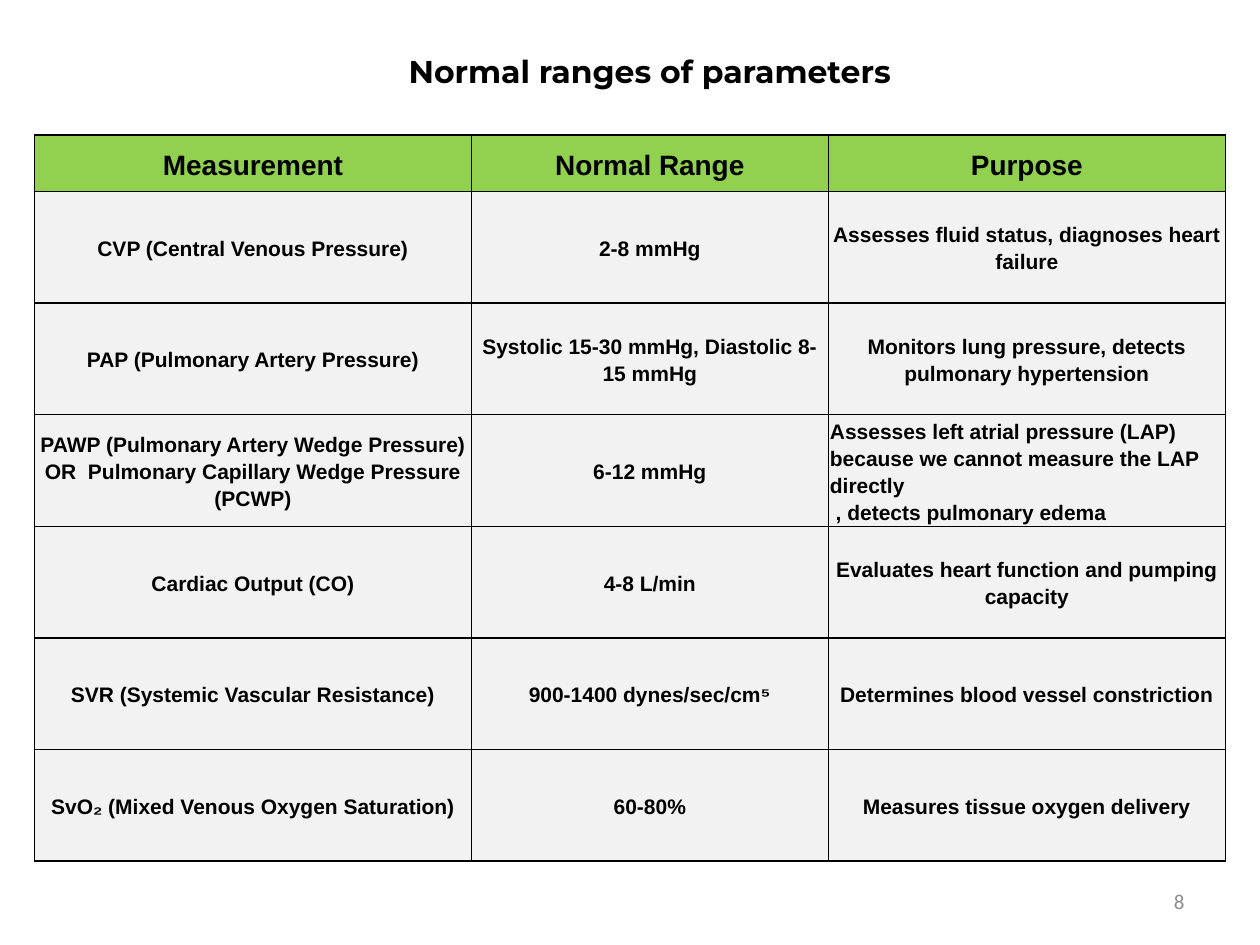
from lxml.etree import SubElement
from pptx import Presentation
from pptx.dml.color import RGBColor
from pptx.enum.text import MSO_ANCHOR, PP_ALIGN
from pptx.oxml.ns import qn
from pptx.util import Cm, Pt

BLACK = RGBColor(0x00, 0x00, 0x00)
GREY = RGBColor(0x8C, 0x8C, 0x8C)
GREEN = RGBColor(0x92, 0xD0, 0x50)
PALE = RGBColor(0xF2, 0xF2, 0xF2)

TITLE = "Normal ranges of parameters"
PAGE_NUMBER = "8"
HEADER = ("Measurement", "Normal Range", "Purpose")
PARAMETERS = [
    ("CVP (Central Venous Pressure)", "2-8 mmHg",
     "Assesses fluid status, diagnoses heart failure"),
    ("PAP (Pulmonary Artery Pressure)",
     "Systolic 15-30 mmHg, Diastolic 8-15 mmHg",
     "Monitors lung pressure, detects pulmonary hypertension"),
    ("PAWP (Pulmonary Artery Wedge Pressure)\n"
     "OR  Pulmonary Capillary Wedge Pressure (PCWP)",
     "6-12 mmHg",
     "Assesses left atrial pressure (LAP) because we cannot measure the LAP "
     "directly\n , detects pulmonary edema"),
    ("Cardiac Output (CO)", "4-8 L/min",
     "Evaluates heart function and pumping capacity"),
    ("SVR (Systemic Vascular Resistance)", "900-1400 dynes/sec/cm⁵",
     "Determines blood vessel constriction"),
    ("SvO₂ (Mixed Venous Oxygen Saturation)", "60-80%",
     "Measures tissue oxygen delivery"),
]
LEFT_ALIGNED = (3, 2)  # row and column of the one cell set flush left
COLUMN_WIDTHS = (8.8, 7.2, 8)
HEADER_HEIGHT, ROW_HEIGHT = 1.14, 2.25


def write(tf, text, size=12, font="Arial", color=BLACK, bold=True,
          align=PP_ALIGN.CENTER, spacing=1.0):
    tf.text = text
    tf.word_wrap = True
    for p in tf.paragraphs:
        p.alignment = align
        p.line_spacing = spacing
        for r in p.runs:
            r.font.size = Pt(size)
            r.font.name = font
            r.font.bold = bold
            r.font.color.rgb = color


def style_cell(cell, fill):
    """Set the margins, borders and fill of a table cell."""
    cell.vertical_anchor = MSO_ANCHOR.MIDDLE
    cell.margin_left = cell.margin_right = Cm(0.03)
    cell.margin_top = cell.margin_bottom = Cm(0.03)
    tc_pr = cell._tc.get_or_add_tcPr()
    for side in ("a:lnL", "a:lnR", "a:lnT", "a:lnB"):
        line = SubElement(tc_pr, qn(side), w=str(Pt(1)))
        solid = SubElement(line, qn("a:solidFill"))
        SubElement(solid, qn("a:srgbClr"), val=str(BLACK))
    cell.fill.solid()
    cell.fill.fore_color.rgb = fill


def add_parameter_table(slide):
    rows = [HEADER] + PARAMETERS
    heights = [HEADER_HEIGHT] + [ROW_HEIGHT] * len(PARAMETERS)
    table = slide.shapes.add_table(
        len(rows), len(HEADER), Cm(0.7), Cm(2.72),
        Cm(sum(COLUMN_WIDTHS)), Cm(sum(heights))).table
    for column, width in zip(table.columns, COLUMN_WIDTHS):
        column.width = Cm(width)
    for i, (texts, height) in enumerate(zip(rows, heights)):
        table.rows[i].height = Cm(height)
        for j, text in enumerate(texts):
            cell = table.cell(i, j)
            style_cell(cell, PALE if i else GREEN)
            align = PP_ALIGN.LEFT if (i, j) == LEFT_ALIGNED else PP_ALIGN.CENTER
            write(cell.text_frame, text, size=12 if i else 16, align=align,
                  spacing=1.15)


def main():
    prs = Presentation()
    prs.slide_width, prs.slide_height = Cm(25.4), Cm(19.05)
    slide = prs.slides.add_slide(prs.slide_layouts[5])

    title = slide.shapes.title
    title.left, title.top = Cm(3.5), Cm(0.92)
    title.width, title.height = Cm(19.2), Cm(1.03)
    write(title.text_frame, TITLE, size=18, font="Montserrat")
    title.text_frame.vertical_anchor = MSO_ANCHOR.TOP

    add_parameter_table(slide)

    number = slide.shapes.add_textbox(Cm(18.2), Cm(17.66), Cm(5.93), Cm(1.01))
    write(number.text_frame, PAGE_NUMBER, font="Calibri", color=GREY,
          bold=False, align=PP_ALIGN.RIGHT)
    number.text_frame.vertical_anchor = MSO_ANCHOR.MIDDLE

    prs.save("out.pptx")


if __name__ == "__main__":
    main()
